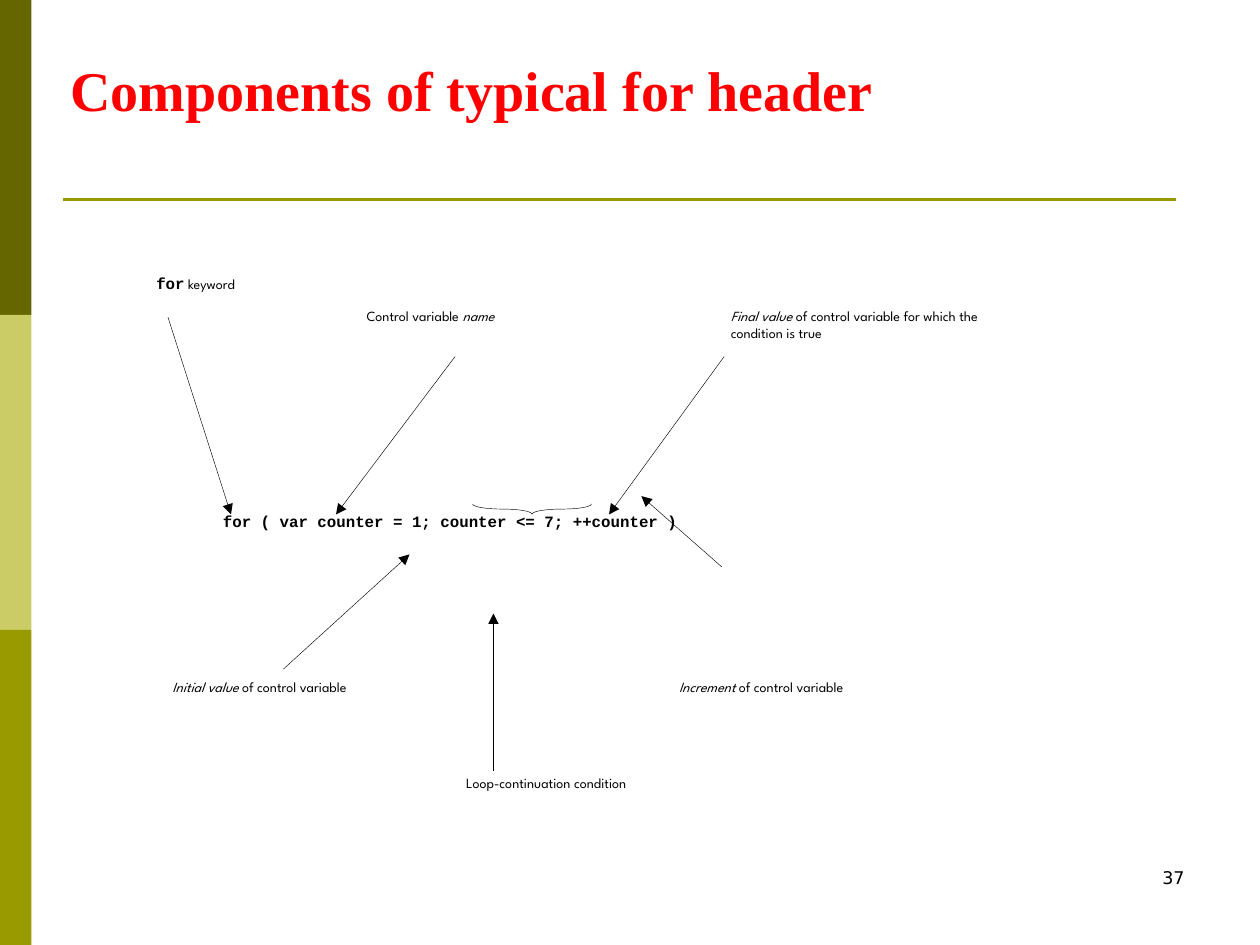
from pptx import Presentation
from pptx import util as u
from pptx.dml.color import RGBColor
from pptx.enum import shapes, text
from pptx.oxml.ns import qn
from lxml import etree

Pt = u.Pt
HUES = {"dark": "666600", "pale": "CCCC66", "olive": "999900",
        "red": "FF0000", "black": "000000"}

# Run formats
NOTE = {"name": "League Spartan", "size": Pt(8), "bold": False, "italic": False}
SLANT = {**NOTE, "italic": True}
CODE = {"name": "Courier New", "size": Pt(9), "bold": True}
HEAD = {"name": "Times New Roman", "size": Pt(32), "bold": True}
PAGE = {"name": "DejaVu Sans", "size": Pt(10)}


class Deck:
    """Holds the style and the current slide."""

    def __init__(self, wide, high):
        self.prs = Presentation()
        self.prs.slide_width, self.prs.slide_height = Pt(wide), Pt(high)
        self.slide = self.prs.slides.add_slide(self.prs.slide_layouts[5])

    def hue(self, key):
        return RGBColor.from_string(HUES[key])

    def fill(self, box, runs, hue, align, inset, anchor):
        frame = box.text_frame
        form = {"word_wrap": True, "auto_size": text.MSO_AUTO_SIZE.NONE,
                "vertical_anchor": anchor,
                "margin_left": Pt(inset[0]), "margin_right": Pt(inset[0]),
                "margin_top": Pt(inset[1]), "margin_bottom": Pt(inset[1])}
        for key, val in form.items():
            setattr(frame, key, val)
        para = frame.paragraphs[0]
        para.alignment = align
        for words, style in runs:
            run = para.add_run()
            run.text = words
            for key, val in style.items():
                setattr(run.font, key, val)
            run.font.color.rgb = self.hue(hue)

    def title(self, words, x, y, w, h):
        box = self.slide.shapes.title
        box.left, box.top, box.width, box.height = map(Pt, (x, y, w, h))
        self.fill(box, [(words, HEAD)], "red", text.PP_ALIGN.LEFT,
                  (7.2, 3.6), text.MSO_ANCHOR.BOTTOM)

    def label(self, runs, x, y, w, h, align=text.PP_ALIGN.LEFT, inset=(0, 0)):
        box = self.slide.shapes.add_textbox(*map(Pt, (x, y, w, h)))
        self.fill(box, runs, "black", align, inset, text.MSO_ANCHOR.TOP)

    def band(self, hue, x, y, w, h):
        box = self.slide.shapes.add_shape(
            shapes.MSO_SHAPE.RECTANGLE, *map(Pt, (x, y, w, h)))
        box.shadow.inherit = False
        box.fill.solid()
        box.fill.fore_color.rgb = self.hue(hue)
        box.line.fill.background()

    def line(self, start, end, hue="black", width=0.25, arrow=False):
        """Draw a line; an arrow points at its start."""
        wire = self.slide.shapes.add_connector(
            shapes.MSO_CONNECTOR.STRAIGHT, *map(Pt, (*start, *end)))
        wire.line.color.rgb = self.hue(hue)
        wire.line.width = Pt(width)
        if arrow:
            etree.SubElement(wire.line._get_or_add_ln(), qn("a:headEnd"),
                             type="triangle")
        etree.SubElement(wire._element.spPr, qn("a:effectLst"))

    def brace(self, x, y, span, depth):
        """Draw a brace that opens upward, as a right brace turned a quarter."""
        left, top = x + (span - depth) / 2, y - (span - depth) / 2
        box = self.slide.shapes.add_shape(
            shapes.MSO_SHAPE.RIGHT_BRACE, *map(Pt, (left, top, depth, span)))
        box.rotation = 90
        box.adjustments[0] = span / 4 / depth
        box.shadow.inherit = False
        box.fill.background()
        box.line.color.rgb = self.hue("black")
        box.line.width = Pt(0.25)


def main():
    deck = Deck(720, 540)

    # Side bands and rule
    for row, hue in enumerate(("dark", "pale", "olive")):
        deck.band(hue, 0, row * 180, 18, 180)
    deck.line((36, 114), (672, 114), "olive", 1.5)

    # Title and page number
    deck.title("Components of typical for header", 33, 12, 648, 62)
    deck.label([("37", PAGE)], 516, 492, 168, 36,
               text.PP_ALIGN.RIGHT, (7.2, 3.6))

    # Brace over the condition
    deck.brace(270, 288, 68, 5.8)

    # Arrows, tip first
    for tip, end in (
        ((366.5, 283.5), (412.5, 324)),
        ((234, 316.8), (162, 382.3)),
        ((132, 294), (96, 181.3)),
        ((192, 294), (260, 203.8)),
        ((348, 294), (413.8, 203.8)),
        ((282, 350.6), (282, 440.6)),
    ):
        deck.line(tip, end, arrow=True)

    # Code line
    deck.label([("for ( var counter = 1; counter <= 7; ++counter )", CODE)],
               127.4, 292.3, 376.6, 50)

    # Labels
    for runs, x, y, w in (
        ([("for", CODE), (" keyword", NOTE)], 89.3, 156.2, 87),
        ([("Control variable ", NOTE), ("name", SLANT)], 209.5, 175.7, 148),
        ([("Final value", SLANT),
          (" of control variable for which the condition is true", NOTE)],
         417.6, 175.7, 170.6),
        ([("Initial value", SLANT), (" of control variable", NOTE)],
         98.6, 388, 174),
        ([("Increment", SLANT), (" of control variable", NOTE)],
         388, 388, 171),
        ([("Loop-continuation condition", NOTE)], 266.4, 442.8, 165),
    ):
        deck.label(runs, x, y, w, 44)

    deck.prs.save("out.pptx")


if __name__ == "__main__":
    main()
